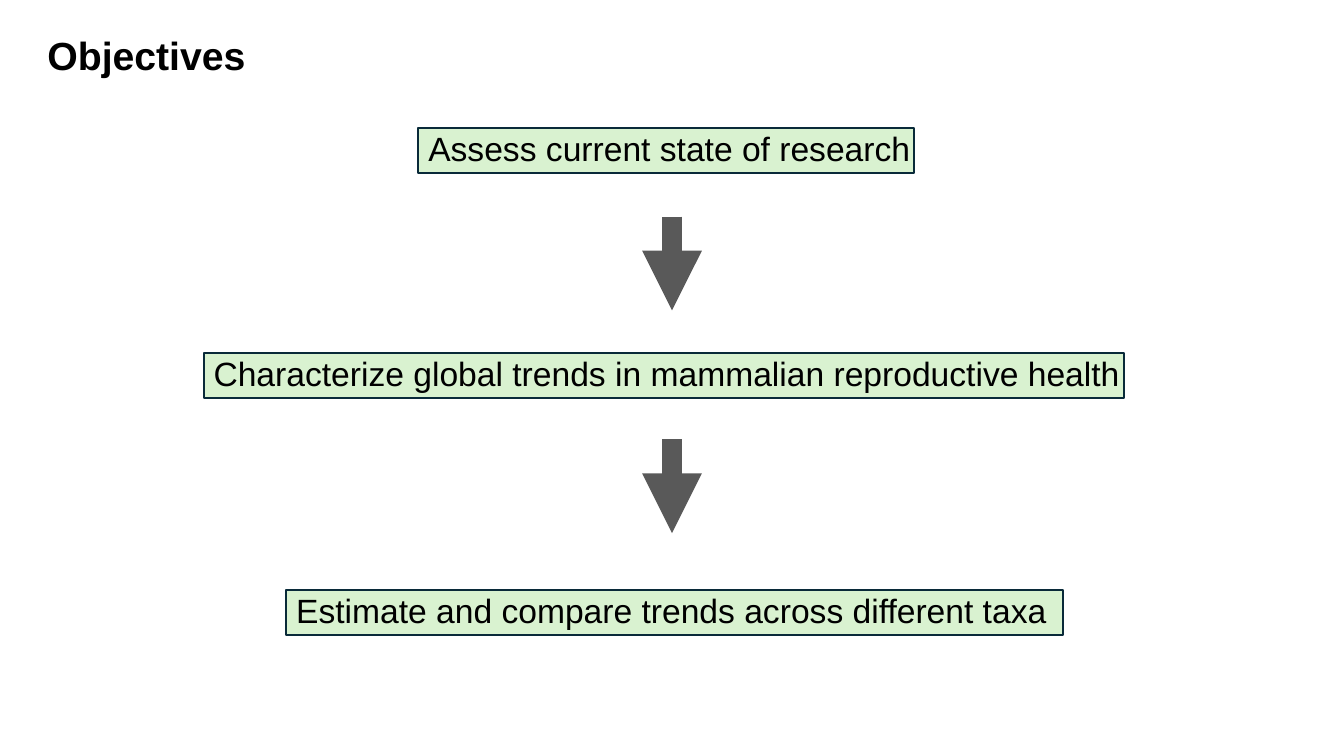
"""Build the Objectives slide: three steps joined by downward arrows."""
from pptx import Presentation
from pptx.dml.color import RGBColor
from pptx.enum.shapes import MSO_CONNECTOR, MSO_SHAPE
from pptx.enum.text import MSO_ANCHOR, PP_ALIGN
from pptx.oxml.ns import qn
from pptx.util import Inches, Pt
from lxml import etree

RECTANGLE = MSO_SHAPE.RECTANGLE
STRAIGHT = MSO_CONNECTOR.STRAIGHT
TOP = MSO_ANCHOR.TOP
LEFT = PP_ALIGN.LEFT

BLACK = RGBColor(0x00, 0x00, 0x00)
PALE_GREEN = RGBColor(0xD9, 0xF2, 0xD0)
DARK_TEAL = RGBColor(0x09, 0x2A, 0x39)
GREY = RGBColor(0x59, 0x59, 0x59)

SLIDE_WIDTH = Inches(13.33)
SLIDE_HEIGHT = Inches(7.5)
STEP_HEIGHT = 6
ARROW_LENGTH = 12.4
ARROW_TOPS = (28.67, 58.13)
STEPS = (
    ("Assess current state of research", 31.13, 16.93, 36.9),
    ("Characterize global trends in mammalian reproductive health", 15.15, 46.67, 68.48),
    ("Estimate and compare trends across different taxa", 21.3, 78, 57.83),
)


def across(percent):
    """Return a percentage of the slide width."""
    return round(SLIDE_WIDTH * percent / 100)


def down(percent):
    """Return a percentage of the slide height."""
    return round(SLIDE_HEIGHT * percent / 100)


def write_text(shape, text, size, bold=False):
    """Write one left-aligned line at the top of a shape."""
    frame = shape.text_frame
    frame.text = text
    frame.word_wrap = True
    frame.vertical_anchor = TOP
    frame.margin_right = 0
    paragraph = frame.paragraphs[0]
    paragraph.alignment = LEFT
    paragraph.line_spacing = 0.9
    paragraph.space_before = Pt(0)
    font = paragraph.runs[0].font
    font.name = "Arial"
    font.size = Pt(size)
    font.bold = bold
    font.color.rgb = BLACK


def place_title(slide, text):
    """Move and format the title placeholder."""
    title = slide.shapes.title
    title.left, title.top = across(2.78), down(4.13)
    title.width, title.height = across(70.13), down(7.73)
    write_text(title, text, 28, bold=True)


def add_step(slide, text, left, top, width):
    """Add a green box holding one objective."""
    step = slide.shapes.add_shape(
        RECTANGLE, across(left), down(top), across(width), down(STEP_HEIGHT))
    step.shadow.inherit = False
    step.fill.solid()
    step.fill.fore_color.rgb = PALE_GREEN
    step.line.color.rgb = DARK_TEAL
    step.line.width = Pt(1.5)
    write_text(step, text, 24)


def add_down_arrow(slide, top):
    """Add a thick arrow pointing down the middle of the slide."""
    middle = across(50)
    arrow = slide.shapes.add_connector(
        STRAIGHT, middle, down(top), middle, down(top + ARROW_LENGTH))
    arrow.line.color.rgb = GREY
    arrow.line.width = Pt(14.25)
    etree.SubElement(arrow.line._get_or_add_ln(), qn("a:tailEnd"), type="triangle")
    etree.SubElement(arrow._element.spPr, qn("a:effectLst"))


def main():
    """Build and save the slide."""
    presentation = Presentation()
    presentation.slide_width = SLIDE_WIDTH
    presentation.slide_height = SLIDE_HEIGHT
    slide = presentation.slides.add_slide(presentation.slide_layouts[5])
    place_title(slide, "Objectives")
    for step in STEPS:
        add_step(slide, *step)
    for top in ARROW_TOPS:
        add_down_arrow(slide, top)
    presentation.save("out.pptx")


if __name__ == "__main__":
    main()
